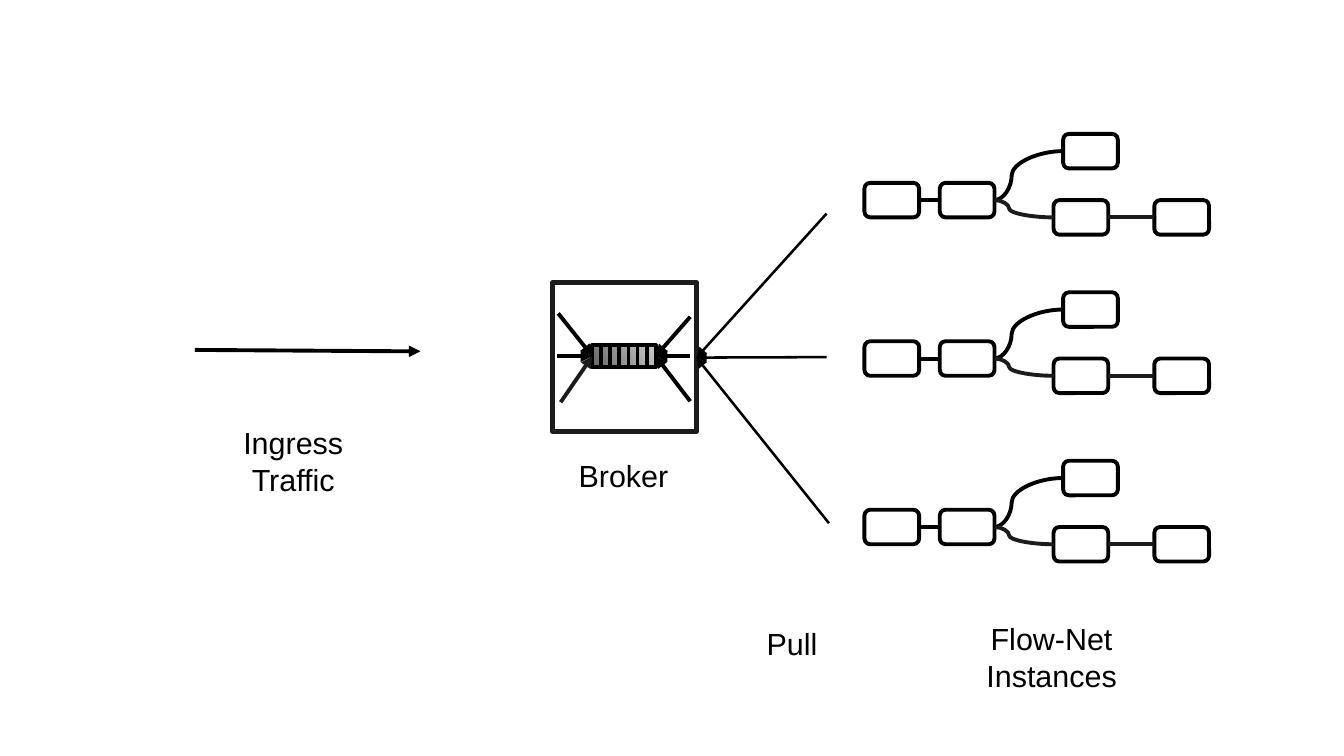
from pptx import Presentation
from pptx.dml.color import RGBColor
from pptx.enum.shapes import MSO_CONNECTOR, MSO_SHAPE
from pptx.enum.text import MSO_AUTO_SIZE, PP_ALIGN
from pptx.oxml.ns import qn
from pptx.util import Cm, Pt
from lxml import etree

BLACK = RGBColor(0x00, 0x00, 0x00)
DARK = RGBColor(0x1C, 0x1C, 0x1C)
LIGHT_GRAY = RGBColor(0xCC, 0xCC, 0xCC)
MID_GRAY = RGBColor(0x66, 0x66, 0x66)
STRAIGHT, CURVE = MSO_CONNECTOR.STRAIGHT, MSO_CONNECTOR.CURVE
RECT, ROUNDED = MSO_SHAPE.RECTANGLE, MSO_SHAPE.ROUNDED_RECTANGLE
CENTER = PP_ALIGN.CENTER
FIT_SHAPE = MSO_AUTO_SIZE.SHAPE_TO_FIT_TEXT


def add_box(shapes, kind, x, y, w, h, color=BLACK, width=2.3):
    sp = shapes.add_shape(kind, Cm(x), Cm(y), Cm(w), Cm(h))
    sp.shadow.inherit = False
    sp.fill.background()
    sp.line.color.rgb = color
    sp.line.width = Pt(width)
    return sp


def add_line(shapes, x1, y1, x2, y2, color=BLACK, width=2.3, kind=STRAIGHT, arrow=False):
    cxn = shapes.add_connector(kind, Cm(x1), Cm(y1), Cm(x2), Cm(y2))
    cxn.line.color.rgb = color
    cxn.line.width = Pt(width)
    sp_pr = cxn._element.spPr
    if arrow:
        etree.SubElement(sp_pr.find(qn("a:ln")), qn("a:tailEnd"), type="triangle")
    if kind == CURVE:
        geom = sp_pr.find(qn("a:prstGeom"))
        guides = geom.find(qn("a:avLst"))
        if guides is None:
            guides = etree.SubElement(geom, qn("a:avLst"))
        etree.SubElement(guides, qn("a:gd"), name="adj1", fmla="val 25000")
    etree.SubElement(sp_pr, qn("a:effectLst"))


prs = Presentation()
prs.slide_width, prs.slide_height = Cm(28), Cm(15.75)
s = prs.slides.add_slide(prs.slide_layouts[6])

NODE_W, NODE_H = 1.14, 0.72
NODES = [(18.01, 0), (19.58, 0), (22.15, -1.02), (21.95, 0.36), (24.05, 0.36)]
LINKS = [
    (0, 1, BLACK, STRAIGHT),
    (1, 2, BLACK, CURVE),
    (1, 3, DARK, CURVE),
    (3, 4, DARK, STRAIGHT),
]
for top in (3.81, 7.11, 10.62):
    instance = s.shapes.add_group_shape().shapes
    for x, dy in NODES:
        add_box(instance, ROUNDED, x, top + dy, NODE_W, NODE_H)
    for start, end, color, kind in LINKS:
        (x1, dy1), (x2, dy2) = NODES[start], NODES[end]
        middle = top + NODE_H / 2
        add_line(instance, x1 + NODE_W, middle + dy1, x2, middle + dy2, color, kind=kind)

broker = s.shapes.add_group_shape().shapes
add_box(broker, RECT, 11.51, 5.89, 3, 3.1, DARK, 3)

QUEUE_X, QUEUE_Y, QUEUE_W, QUEUE_H = 12.34, 7.19, 1.32, 0.46
queue = add_box(broker, RECT, QUEUE_X, QUEUE_Y, QUEUE_W, QUEUE_H)
queue.fill.gradient()
queue.fill.gradient_angle = 210
for stop, color in zip(queue.fill.gradient_stops, (LIGHT_GRAY, MID_GRAY)):
    stop.color.rgb = color
for i in range(1, 7):
    x = QUEUE_X + QUEUE_W * i / 7
    add_line(broker, x, QUEUE_Y, x, QUEUE_Y + QUEUE_H)

queue_mid = QUEUE_Y + QUEUE_H / 2
for x, y, end, color in [
    (11.63, 6.53, QUEUE_X, BLACK),
    (11.68, 8.38, QUEUE_X, DARK),
    (11.61, queue_mid, QUEUE_X, BLACK),
    (14.38, 6.6, QUEUE_X + QUEUE_W, BLACK),
    (14.38, queue_mid, QUEUE_X + QUEUE_W, BLACK),
    (14.38, 8.36, QUEUE_X + QUEUE_W, BLACK),
]:
    add_line(broker, x, y, end, queue_mid, color, arrow=True)

for x, y in [(17.22, 4.45), (17.22, 7.44), (17.27, 10.9)]:
    add_line(s.shapes, x, y, 14.51, 7.45, width=1.5, arrow=True)

ingress = s.shapes.add_group_shape().shapes
add_line(ingress, 4.06, 7.29, 8.76, 7.32, arrow=True)

for shapes, text, x, y, h in [
    (s.shapes, "Flow-Net\nInstances", 19.61, 12.8, 1.68),
    (s.shapes, "Broker", 10.69, 9.4, 1.19),
    (s.shapes, "Pull", 14.2, 12.9, 1.19),
    (ingress, "Ingress\nTraffic", 3.81, 8.71, 1.68),
]:
    tf = shapes.add_textbox(Cm(x), Cm(y), Cm(4.6), Cm(h)).text_frame
    tf.word_wrap = True
    tf.auto_size = FIT_SHAPE
    tf.text = text
    for p in tf.paragraphs:
        p.alignment = CENTER
        p.font.name = "Arial"
        p.font.size = Pt(18)
        p.font.color.rgb = BLACK

prs.save("out.pptx")
